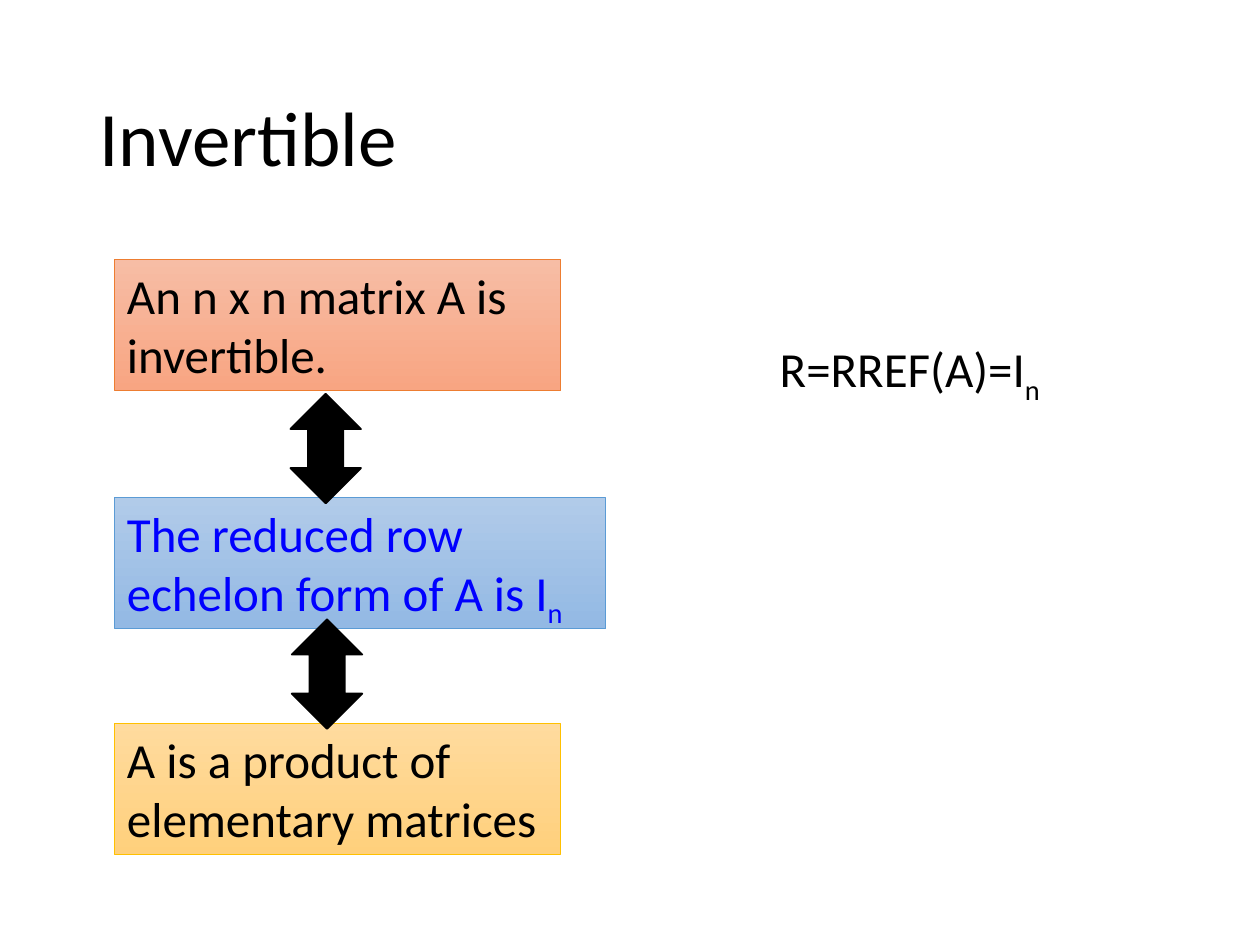
from dataclasses import dataclass

from pptx import Presentation
from pptx.dml.color import RGBColor
from pptx.enum import shapes, text
from pptx.util import Inches, Pt


@dataclass(frozen=True)
class Theme:
    """Colours and type sizes of the slide."""
    font: str = "Calibri"
    head: int = 44
    body: int = 28
    ink: str = "000000"
    blue: str = "0000FF"
    red_box: tuple = ("F7BDA5", "F8A582", "ED7D31")
    blue_box: tuple = ("B1CBE9", "93B9E4", "5B9BD5")
    gold_box: tuple = ("FFDB9E", "FFD07C", "FFC000")


THEME = Theme()


def rgb(code):
    """Turn a hex code into a colour."""
    return RGBColor.from_string(code)


def place(shape, box):
    """Move a shape to a box given in inches."""
    shape.left, shape.top, shape.width, shape.height = map(Inches, box)


def write(frame, words, size, ink, sub=""):
    """Write one left-aligned paragraph with an optional subscript."""
    frame.word_wrap = True
    para = frame.paragraphs[0]
    para.alignment = text.PP_ALIGN.LEFT
    para.font.name = THEME.font
    para.font.size = Pt(size)
    para.font.color.rgb = rgb(ink)
    para.add_run().text = words
    if sub:
        run = para.add_run()
        run.text = sub
        run._r.get_or_add_rPr().set("baseline", "-25000")
    return para


def add_title(slide, box, words):
    """Place and format the title."""
    title = slide.shapes.title
    place(title, box)
    frame = title.text_frame
    frame.auto_size = text.MSO_AUTO_SIZE.NONE
    frame.vertical_anchor = text.MSO_ANCHOR.MIDDLE
    write(frame, words, THEME.head, THEME.ink).line_spacing = 0.9


def add_claim(slide, box, words, tones, ink, sub=""):
    """Add a shaded box that holds one statement."""
    shape = slide.shapes.add_shape(
        shapes.MSO_SHAPE.RECTANGLE, *map(Inches, box))
    shape.shadow.inherit = False
    first, last, edge = tones
    shape.fill.gradient()
    shape.fill.gradient_angle = 270
    for stop, tone, spot in zip(shape.fill.gradient_stops, (first, last), (0, 1)):
        stop.color.rgb = rgb(tone)
        stop.position = spot
    shape.line.color.rgb = rgb(edge)
    shape.line.width = Pt(0.5)
    shape.text_frame.vertical_anchor = text.MSO_ANCHOR.TOP
    write(shape.text_frame, words, THEME.body, ink, sub)


def add_arrow(slide, box):
    """Add an upright double arrow."""
    shape = slide.shapes.add_shape(
        shapes.MSO_SHAPE.LEFT_RIGHT_ARROW, *map(Inches, box))
    shape.rotation = 90
    shape.shadow.inherit = False
    shape.fill.solid()
    shape.fill.fore_color.rgb = rgb(THEME.ink)
    shape.line.color.rgb = rgb(THEME.ink)
    shape.line.width = Pt(1)


def add_chain(slide, box):
    """Stack the equivalent statements and join them with arrows."""
    left, top, wide, high = box
    claims = [
        (0, wide, "An n x n matrix A is invertible.",
         THEME.red_box, THEME.ink, ""),
        (1.89, wide + 0.36, "The reduced row echelon form of A is I",
         THEME.blue_box, THEME.blue, "n"),
        (high - 1.04, wide, "A is a product of elementary matrices",
         THEME.gold_box, THEME.ink, ""),
    ]
    for drop, span, *rest in claims:
        add_claim(slide, (left, top + drop, span, 1.04), *rest)
    for shift, drop in ((1.24, 1.22), (1.25, 3.01)):
        add_arrow(slide, (left + shift, top + drop, 0.87, 0.56))


def add_formula(slide, box):
    """Add the formula at the right."""
    label = slide.shapes.add_textbox(*map(Inches, box))
    write(label.text_frame, "R=RREF(A)=I", THEME.body, THEME.ink, "n")


def main():
    """Build and save the slide."""
    deck = Presentation()
    deck.slide_width, deck.slide_height = Inches(10), Inches(7.5)
    slide = deck.slides.add_slide(deck.slide_layouts[5])
    add_title(slide, (0.69, 0.4, 8.62, 1.45), "Invertible")
    add_chain(slide, (0.91, 2.06, 3.54, 4.72))
    add_formula(slide, (6.09, 2.64, 2.67, 0.57))
    deck.save("out.pptx")


if __name__ == "__main__":
    main()
